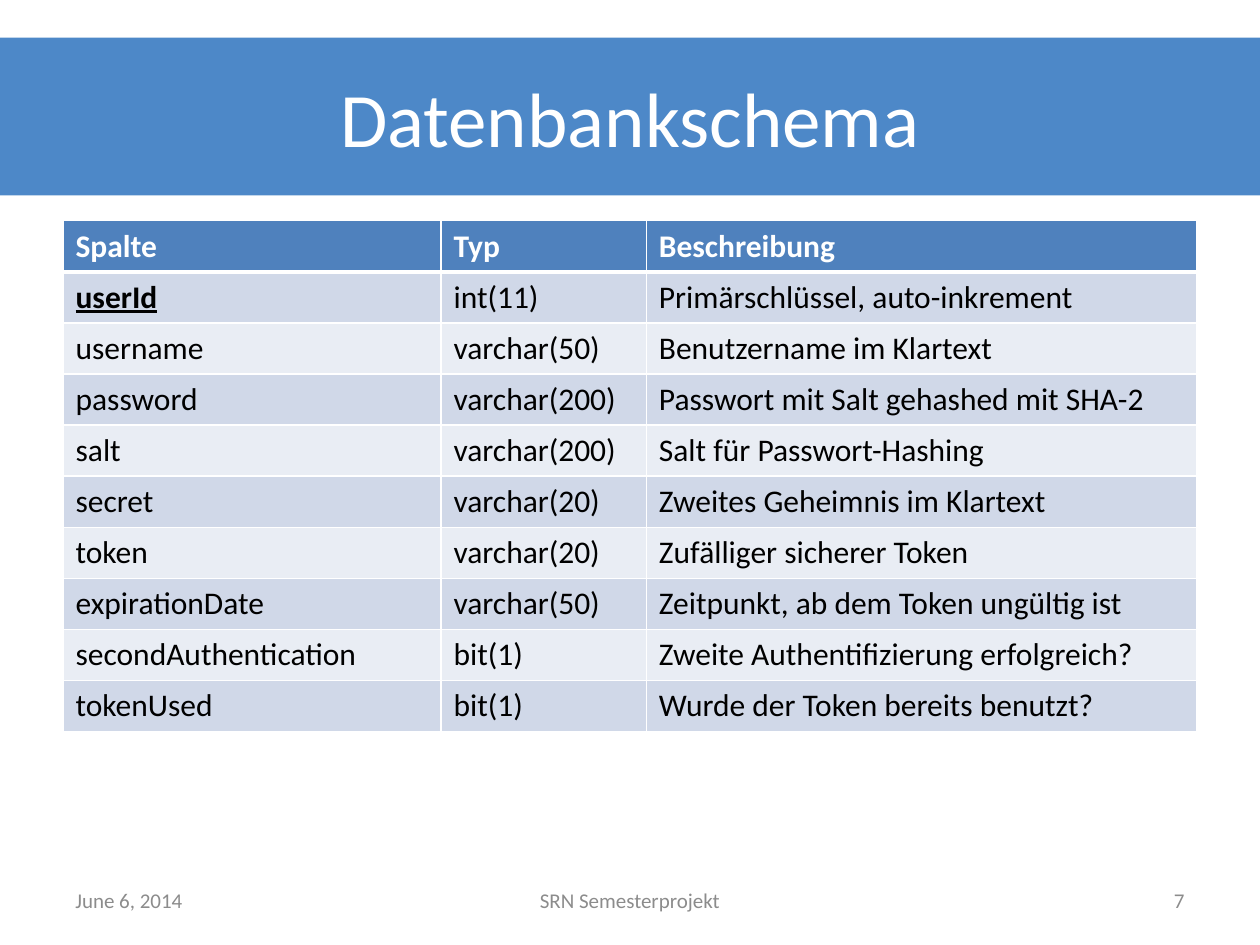
from lxml.etree import SubElement
from pptx import Presentation
from pptx.dml.color import RGBColor
from pptx.enum.shapes import MSO_SHAPE
from pptx.enum.text import MSO_ANCHOR, PP_ALIGN
from pptx.oxml.ns import qn
from pptx.util import Cm, Pt

WHITE = RGBColor(0xFF, 0xFF, 0xFF)
BLACK = RGBColor(0x00, 0x00, 0x00)
GRAY = RGBColor(0x8C, 0x8C, 0x8C)
BAND_BLUE = RGBColor(0x4D, 0x88, 0xC8)
HEADER_BLUE = RGBColor(0x4F, 0x81, 0xBD)
ROW_DARK = RGBColor(0xD0, 0xD8, 0xE8)
ROW_LIGHT = RGBColor(0xE9, 0xED, 0xF4)

COLUMN_WIDTHS = [7.62, 4.14, 11.1]
ROW_HEIGHT = 1.03
SCHEMA = [
    ("Spalte", "Typ", "Beschreibung"),
    ("userId", "int(11)", "Primärschlüssel, auto-inkrement"),
    ("username", "varchar(50)", "Benutzername im Klartext"),
    ("password", "varchar(200)", "Passwort mit Salt gehashed mit SHA-2"),
    ("salt", "varchar(200)", "Salt für Passwort-Hashing"),
    ("secret", "varchar(20)", "Zweites Geheimnis im Klartext"),
    ("token", "varchar(20)", "Zufälliger sicherer Token"),
    ("expirationDate", "varchar(50)", "Zeitpunkt, ab dem Token ungültig ist"),
    ("secondAuthentication", "bit(1)", "Zweite Authentifizierung erfolgreich?"),
    ("tokenUsed", "bit(1)", "Wurde der Token bereits benutzt?"),
]


def write(frame, text, size=18, color=BLACK, align=PP_ALIGN.LEFT, bold=False, underline=False):
    para = frame.paragraphs[0]
    para.alignment = align
    span = para.add_run()
    span.text = text
    font = span.font
    font.name = "Calibri"
    font.size = Pt(size)
    font.color.rgb = color
    font.bold = bold
    font.underline = underline


def set_borders(cell, **widths):
    properties = cell._tc.get_or_add_tcPr()
    for side, width in widths.items():
        line = SubElement(properties, qn(f"a:ln{side}"), w=str(Pt(width)))
        fill = SubElement(line, qn("a:solidFill"))
        SubElement(fill, qn("a:srgbClr"), val=str(WHITE))


class SlideBuilder:
    def __init__(self, page):
        self.page = page

    def title(self, text, left, top, width, height):
        title = self.page.shapes.title
        title.left, title.top, title.width, title.height = map(Cm, (left, top, width, height))
        title.text_frame.vertical_anchor = MSO_ANCHOR.MIDDLE
        write(title.text_frame, text, size=44, color=WHITE, align=PP_ALIGN.CENTER)

    def band(self, left, top, width, height):
        band = self.page.shapes.add_shape(MSO_SHAPE.RECTANGLE, *map(Cm, (left, top, width, height)))
        band.shadow.inherit = False
        band.fill.solid()
        band.fill.fore_color.rgb = BAND_BLUE
        band.line.fill.background()
        self.page.shapes.title.element.addprevious(band.element)

    def table(self, rows, left, top):
        size = (sum(COLUMN_WIDTHS), ROW_HEIGHT * len(rows))
        table = self.page.shapes.add_table(
            len(rows), len(COLUMN_WIDTHS), *map(Cm, (left, top, *size))
        ).table
        for column, width in zip(table.columns, COLUMN_WIDTHS):
            column.width = Cm(width)
        for row_index, row in enumerate(rows):
            table.rows[row_index].height = Cm(ROW_HEIGHT)
            header = row_index == 0
            row_fill = HEADER_BLUE if header else ROW_DARK if row_index % 2 else ROW_LIGHT
            for column_index, text in enumerate(row):
                cell = table.cell(row_index, column_index)
                key = (row_index, column_index) == (1, 0)
                set_borders(cell, L=1, R=1, T=3 if row_index == 1 else 1, B=3 if header else 1)
                cell.fill.solid()
                cell.fill.fore_color.rgb = row_fill
                write(cell.text_frame, text, color=WHITE if header else BLACK,
                      bold=header or key, underline=key)

    def footer(self, text, left, width, align):
        box = self.page.shapes.add_textbox(Cm(left), Cm(17.65), Cm(width), Cm(1.01))
        box.text_frame.word_wrap = True
        box.text_frame.vertical_anchor = MSO_ANCHOR.MIDDLE
        write(box.text_frame, text, size=12, color=GRAY, align=align)


deck = Presentation()
deck.slide_width, deck.slide_height = Cm(25.4), Cm(19.05)
builder = SlideBuilder(deck.slides.add_slide(deck.slide_layouts[5]))
builder.title("Datenbankschema", 1.27, 0.76, 22.86, 3.18)
builder.band(0, 0.76, 25.4, 3.18)
builder.table(SCHEMA, 1.27, 4.45)
builder.footer("June 6, 2014", 1.27, 5.93, PP_ALIGN.LEFT)
builder.footer("SRN Semesterprojekt", 8.68, 8.04, PP_ALIGN.CENTER)
builder.footer("7", 18.2, 5.93, PP_ALIGN.RIGHT)
deck.save("out.pptx")
